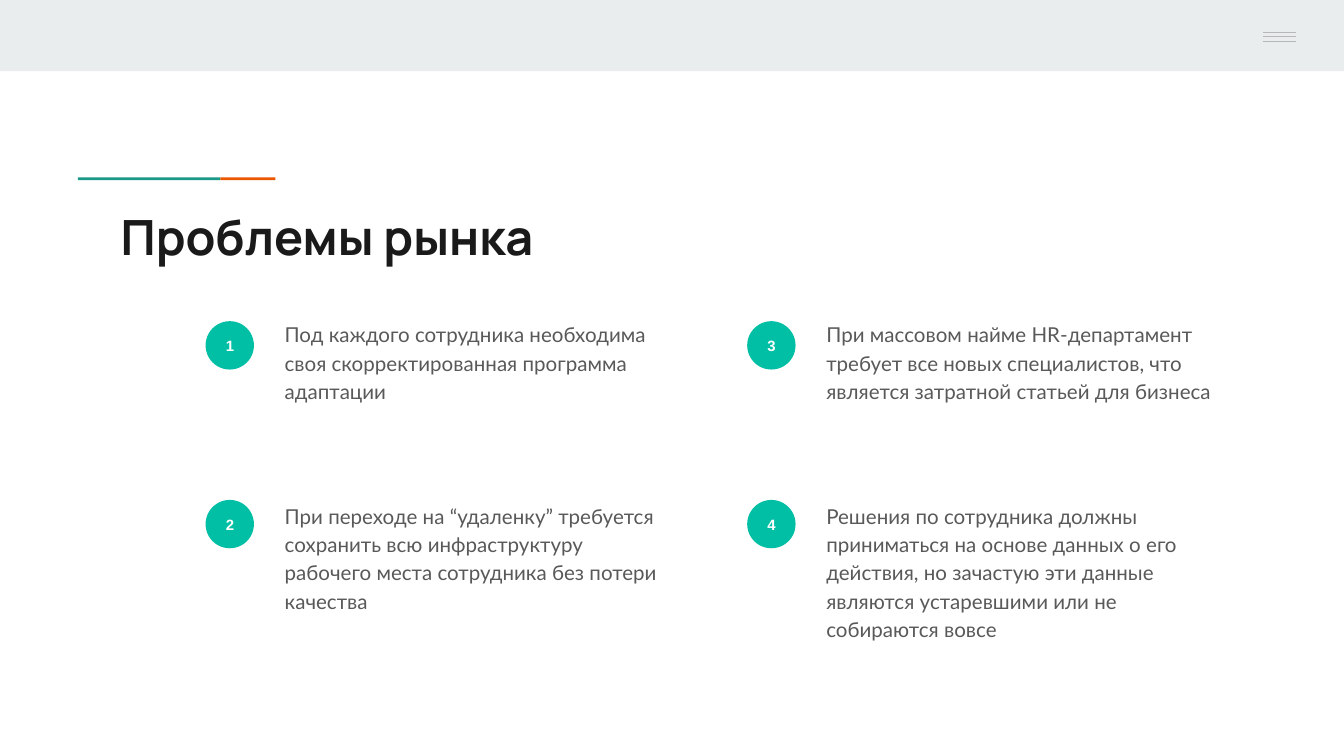
from lxml import etree
from pptx import Presentation
from pptx.dml.color import RGBColor
from pptx.enum.shapes import MSO_CONNECTOR, MSO_SHAPE
from pptx.enum.text import MSO_ANCHOR, PP_ALIGN
from pptx.oxml.ns import qn
from pptx.util import Inches, Pt

TITLE = "Проблемы рынка"
PROBLEMS = [
    "Под каждого сотрудника необходима своя скорректированная программа адаптации",
    "При переходе на “удаленку” требуется сохранить всю инфраструктуру рабочего места сотрудника без потери качества",
    "При массовом найме HR-департамент требует все новых специалистов, что является затратной статьей для бизнеса",
    "Решения по сотрудника должны приниматься на основе данных о его действия, но зачастую эти данные являются устаревшими или не собираются вовсе",
]
COLORS = {
    "band": "E9EDEE",
    "teal": "1A9988",
    "orange": "EB5600",
    "menu": "B7B7B7",
    "badge": "00BFA5",
    "number": "FFFFFF",
    "title": "1A1A1A",
    "body": "595959",
}
SLIDE_WIDTH = Inches(10)
SLIDE_HEIGHT = SLIDE_WIDTH * 9 // 16
ACCENTS = [(0.58, 1.06, "teal"), (1.64, 0.41, "orange")]
MENU_LINES = [0.24, 0.27, 0.31]
ROWS = 2
BADGE_LEFT, BADGE_TOP, BADGE_SIZE = 1.53, 2.39, 0.36
COLUMN_STEP, BADGE_STEP = 4.03, 1.33
TEXT_TOP, TEXT_STEP, TEXT_OFFSET = 2.27, 1.35, 0.49


def color(name):
    return RGBColor.from_string(COLORS[name])


def add_block(slide, kind, box, fill):
    block = slide.shapes.add_shape(kind, *map(Inches, box))
    block.shadow.inherit = False
    block.fill.solid()
    block.fill.fore_color.rgb = color(fill)
    block.line.fill.background()
    return block


def write(frame, text, font, size, ink, bold=False):
    frame.word_wrap = True
    frame.margin_left = frame.margin_right = Inches(0.1)
    frame.margin_top = frame.margin_bottom = Inches(0.1)
    frame.text = text
    paragraph = frame.paragraphs[0]
    style = paragraph.runs[0].font
    style.name, style.size, style.bold = font, Pt(size), bold
    style.color.rgb = color(ink)
    return paragraph


def add_header(slide):
    add_block(slide, MSO_SHAPE.RECTANGLE, (0, 0, 10, 0.53), "band")
    for left, width, fill in ACCENTS:
        add_block(slide, MSO_SHAPE.RECTANGLE, (left, 1.32, width, 0.02), fill)
    for y in MENU_LINES:
        menu_line = slide.shapes.add_connector(
            MSO_CONNECTOR.STRAIGHT, Inches(9.4), Inches(y), Inches(9.64), Inches(y))
        menu_line.line.color.rgb = color("menu")
        menu_line.line.width = Pt(0.75)
        etree.SubElement(menu_line._element.spPr, qn("a:effectLst"))
    title = slide.shapes.add_textbox(Inches(0.8), Inches(1.44), Inches(8.41), Inches(0.59))
    write(title.text_frame, TITLE, "Manrope", 26, "title", bold=True)


def add_problem(slide, index, problem):
    column, row = divmod(index, ROWS)
    left = BADGE_LEFT + column * COLUMN_STEP
    badge = add_block(
        slide, MSO_SHAPE.OVAL,
        (left, BADGE_TOP + row * BADGE_STEP, BADGE_SIZE, BADGE_SIZE), "badge")
    number = write(badge.text_frame, str(index + 1), "Arial", 8, "number", bold=True)
    number.alignment = PP_ALIGN.CENTER
    badge.text_frame.vertical_anchor = MSO_ANCHOR.MIDDLE
    description = slide.shapes.add_textbox(
        Inches(left + TEXT_OFFSET), Inches(TEXT_TOP + row * TEXT_STEP),
        Inches(3.1), Inches(1.15))
    write(description.text_frame, problem, "Lato", 11, "body").line_spacing = 1.15


def main():
    deck = Presentation()
    deck.slide_width, deck.slide_height = SLIDE_WIDTH, SLIDE_HEIGHT
    slide = deck.slides.add_slide(deck.slide_layouts[6])
    add_header(slide)
    for index, problem in enumerate(PROBLEMS):
        add_problem(slide, index, problem)
    deck.save("out.pptx")


if __name__ == "__main__":
    main()
